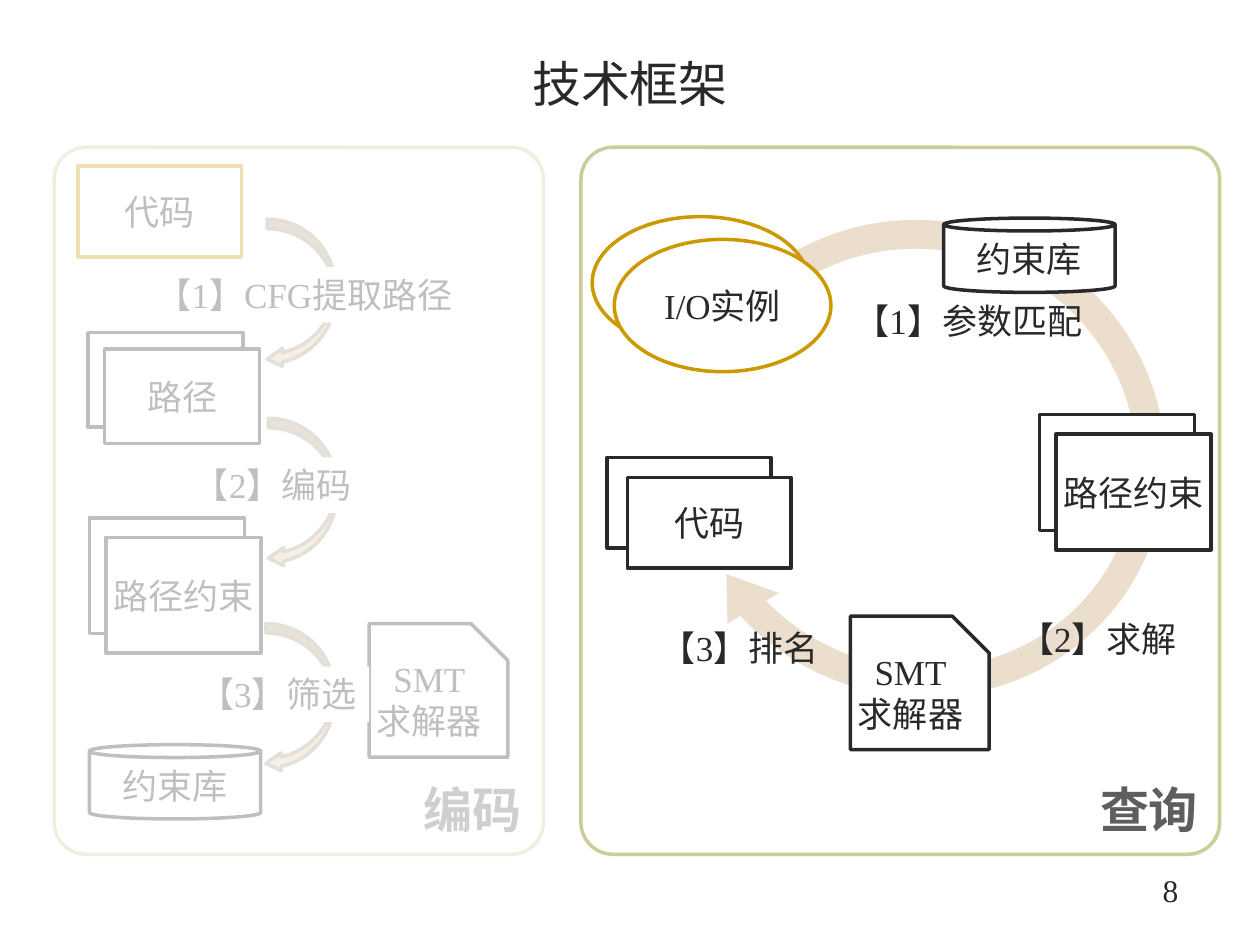
from pptx import Presentation
from pptx.dml.color import RGBColor
from pptx.enum.shapes import MSO_SHAPE
from pptx.enum.text import MSO_ANCHOR, PP_ALIGN
from pptx.oxml.ns import qn
from pptx.util import Pt
from lxml import etree

RECT, ROUND, CAN = MSO_SHAPE.RECTANGLE, MSO_SHAPE.ROUNDED_RECTANGLE, MSO_SHAPE.CAN
SNIP, OVAL = MSO_SHAPE.SNIP_1_RECTANGLE, MSO_SHAPE.OVAL
CURVE, RING = MSO_SHAPE.CURVED_DOWN_ARROW, MSO_SHAPE.CIRCULAR_ARROW
TOP, MID, LOW = MSO_ANCHOR.TOP, MSO_ANCHOR.MIDDLE, MSO_ANCHOR.BOTTOM
LEFT, MIDST, RIGHT = PP_ALIGN.LEFT, PP_ALIGN.CENTER, PP_ALIGN.RIGHT
INK, WHITE, GOLD, OLIVE, GRAY = "292929", "FFFFFF", "CC9900", "CCCC99", "5E5E5E"

prs = Presentation()
prs.slide_width, prs.slide_height = Pt(720), Pt(540)
slide = prs.slides.add_slide(prs.slide_layouts[6])


def write(shape, text, size=20, color=INK, bold=False, align=MIDST, anchor=MID, wrap=False):
    frame = shape.text_frame
    frame.word_wrap = wrap
    frame.vertical_anchor = anchor
    frame.text = text
    for para in frame.paragraphs:
        para.alignment = align
        font = para.font
        font.name, font.size, font.bold = "Times New Roman", Pt(size), bold
        font.color.rgb = RGBColor.from_string(color)


def draw(kind, x, y, w, h, fill=WHITE, line=INK, adj=(), turn=0):
    shape = slide.shapes.add_shape(kind, Pt(x), Pt(y), Pt(w), Pt(h))
    shape.shadow.inherit = False
    if fill:
        shape.fill.solid()
        shape.fill.fore_color.rgb = RGBColor.from_string(fill)
    else:
        shape.fill.background()
    if line:
        shape.line.color.rgb = RGBColor.from_string(line)
        shape.line.width = Pt(2)
    else:
        shape.line.fill.background()
    for i, value in enumerate(adj):
        shape.adjustments[i] = value
    shape.rotation = turn
    return shape


# Title and page number
for text, box, size, align in [
    ("技术框架", (39.6, 24.5, 640.8, 45.4), 28, MIDST),
    ("8", (607, 490.3, 73.4, 36), 18, RIGHT),
]:
    write(slide.shapes.add_textbox(*map(Pt, box)), text, size=size, align=align, wrap=True)

# Panels
for text, x, w, adj in [("查询", 332, 365, 0.05), ("编码", 31, 279.5, 0.065)]:
    panel = draw(ROUND, x, 84.2, w, 404, line=OLIVE, adj=[adj])
    write(panel, text, size=28, color=GRAY, bold=True, align=RIGHT, anchor=LOW)

# Ring arrow of the query panel
draw(RING, 381.6, 113, 289.4, 298.1, fill="ECDECC", line=None,
     adj=[0.057, 6.634, 124.712, 180.423, 0.059], turn=290.4)

# Nodes: the ones with a step have a second outline behind
for kind, text, x, y, w, h, step, line in [
    (RECT, "代码", 44.6, 95, 93.6, 51.8, None, GOLD),
    (RECT, "路径", 50.4, 190.1, 88.6, 54, (9.4, 9.4), INK),
    (RECT, "路径约束", 51.1, 295.9, 88.6, 66.2, (9.4, 11.2), INK),
    (OVAL, "I/O实例", 338.4, 123.8, 123.8, 75.6, (12.6, 13), GOLD),
    (RECT, "代码", 347, 261.4, 93.6, 51.8, (11.5, 11.5), INK),
    (RECT, "路径约束", 594, 236.9, 88.6, 66.2, (9.4, 11.2), INK),
]:
    if step:
        draw(kind, x, y, w, h, line=line)
        x, y = x + step[0], y + step[1]
    write(draw(kind, x, y, w, h, line=line), text)

# Constraint stores and solvers
for x, y in [(51.1, 425.5), (539.3, 124.6)]:
    write(draw(CAN, x, y, 97.9, 42.5, adj=[0.174]), "约束库", wrap=True)
for x, y in [(211, 356.4), (486, 352.1)]:
    write(draw(SNIP, x, y, 79.2, 76.3, adj=[0.275]), "SMT\n求解器")

# Curved arrows of the encoding panel, each under its label
for text, ax, ay, x, y, w in [
    ("【1】CFG提取路径", 129.6, 148.3, 77.8, 152.6, 187.9),
    ("【2】编码", 130.3, 262.1, 82.1, 261.4, 126),
    ("【3】筛选", 128.9, 379.4, 103, 380.9, 108),
]:
    draw(CURVE, ax, ay, 85, 38.9, fill="E2CAAA", line="A7957E",
         adj=[0.14, 0.262, 0.222], turn=90)
    label = draw(RECT, x, y, w, 31.7, line=None)
    write(label, text, align=RIGHT, anchor=TOP, wrap=True)

# Labels of the query panel
for text, x, y, w in [
    ("【1】参数匹配", 481, 167.8, 144.7),
    ("【2】求解", 569.5, 349.2, 115.9),
    ("【3】排名", 370.1, 354.2, 105.1),
]:
    label = slide.shapes.add_textbox(Pt(x), Pt(y), Pt(w), Pt(31.7))
    write(label, text, anchor=TOP, wrap=True)

# Veil that fades the encoding panel
veil = draw(ROUND, 20.9, 74.2, 292.3, 416.2, line=None, adj=[0.045])
tint = veil.fill._xPr.find(qn("a:solidFill"))[0]
etree.SubElement(tint, qn("a:alpha")).set("val", "70000")

prs.save("out.pptx")
